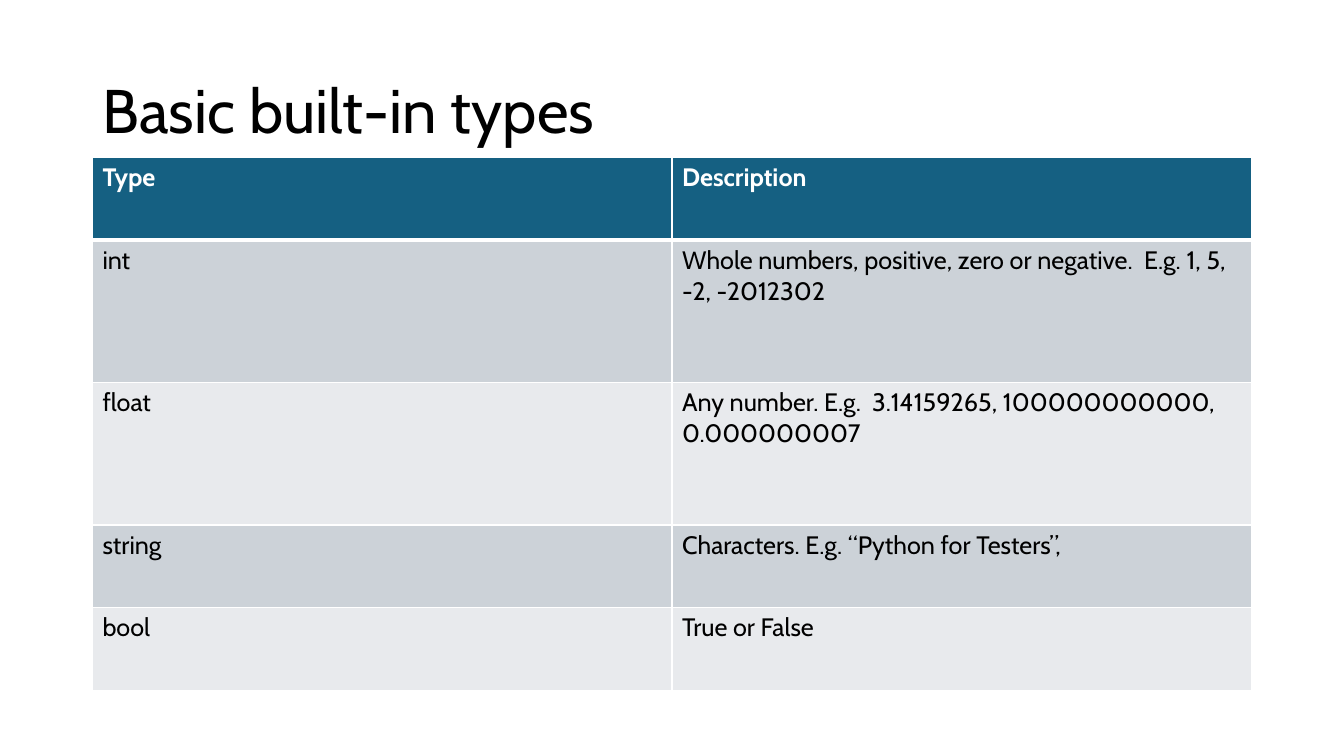
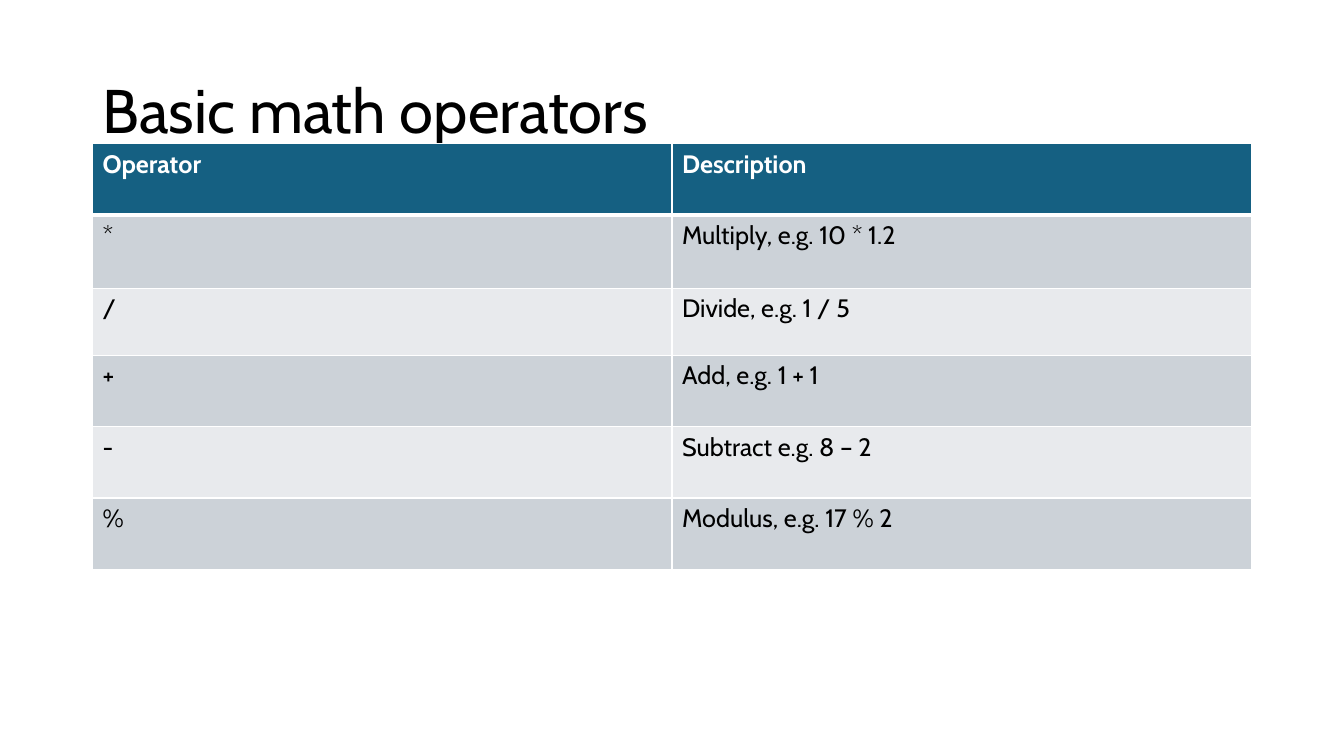
import pptx
import pptx.dml.color
import pptx.enum.text
import pptx.oxml
import pptx.oxml.ns
import pptx.util

Cm = pptx.util.Cm
Pt = pptx.util.Pt
RGBColor = pptx.dml.color.RGBColor

BLACK = RGBColor(0x00, 0x00, 0x00)
WHITE = RGBColor(0xFF, 0xFF, 0xFF)
HEADER_BLUE = RGBColor(0x15, 0x60, 0x82)
BAND_DARK = RGBColor(0xCC, 0xD2, 0xD8)
BAND_LIGHT = RGBColor(0xE8, 0xEA, 0xED)

FONT = "Cabin"
LEFT = Cm(2.33)
CONTENT_WIDTH = Cm(29.21)

TYPES = [
    ("Type", "Description"),
    ("int", "Whole numbers, positive, zero or negative.  E.g. 1, 5, -2, -2012302"),
    ("float", "Any number. E.g.  3.14159265, 100000000000, 0.000000007"),
    ("string", "Characters. E.g. “Python for Testers”,"),
    ("bool", "True or False"),
]
TYPE_HEIGHTS = [2.08, 3.59, 3.59, 2.08, 2.08]

OPERATORS = [
    ("Operator", "Description"),
    ("*", "Multiply, e.g. 10 * 1.2"),
    ("/", "Divide, e.g. 1 / 5"),
    ("+", "Add, e.g. 1 + 1"),
    ("-", "Subtract e.g. 8 – 2"),
    ("%", "Modulus, e.g. 17 % 2"),
]
OPERATOR_HEIGHTS = [1.8, 1.85, 1.68, 1.8, 1.8, 1.8]


def write(frame, text, size=18, color=BLACK, bold=False, line_spacing=None):
    paragraph = frame.paragraphs[0]
    paragraph.line_spacing = line_spacing
    run = paragraph.add_run()
    run.text = text
    run.font.name = FONT
    run.font.size = Pt(size)
    run.font.bold = bold
    run.font.color.rgb = color


def add_title(slide, text):
    title = slide.shapes.add_textbox(LEFT, Cm(1.01), CONTENT_WIDTH, Cm(3.68))
    frame = title.text_frame
    frame.word_wrap = True
    frame.vertical_anchor = pptx.enum.text.MSO_ANCHOR.MIDDLE
    write(frame, text, size=44, line_spacing=0.9)


def set_borders(cell, **widths):
    """Draw white borders; widths in points are keyed by side: L, R, T, B."""
    properties = cell._tc.get_or_add_tcPr()
    for side, width in widths.items():
        properties.append(pptx.oxml.parse_xml(
            f'<a:ln{side} {pptx.oxml.ns.nsdecls("a")} w="{Pt(width)}">'
            f'<a:solidFill><a:srgbClr val="{WHITE}"/></a:solidFill>'
            f'</a:ln{side}>'))


def add_banded_table(slide, top, entries, heights):
    columns = len(entries[0])
    table = slide.shapes.add_table(
        len(entries), columns, LEFT, top, CONTENT_WIDTH, Cm(sum(heights))).table
    for column in table.columns:
        column.width = CONTENT_WIDTH // columns
    for index, (entry, height) in enumerate(zip(entries, heights)):
        table.rows[index].height = Cm(height)
        header = index == 0
        band = BAND_DARK if index % 2 else BAND_LIGHT
        for cell, text in zip(table.rows[index].cells, entry):
            set_borders(cell, L=1, R=1, T=3 if index == 1 else 1, B=3 if header else 1)
            cell.fill.solid()
            cell.fill.fore_color.rgb = HEADER_BLUE if header else band
            write(cell.text_frame, text, color=WHITE if header else BLACK, bold=header)


def add_table_slide(deck, title, top, entries, heights):
    slide = deck.slides.add_slide(deck.slide_layouts[6])
    add_title(slide, title)
    add_banded_table(slide, top, entries, heights)


def main():
    deck = pptx.Presentation()
    deck.slide_width = Cm(33.87)
    deck.slide_height = Cm(19.05)
    add_table_slide(deck, "Basic built-in types", Cm(3.97), TYPES, TYPE_HEIGHTS)
    add_table_slide(deck, "Basic math operators", Cm(3.62), OPERATORS, OPERATOR_HEIGHTS)
    deck.save("out.pptx")


if __name__ == "__main__":
    main()
